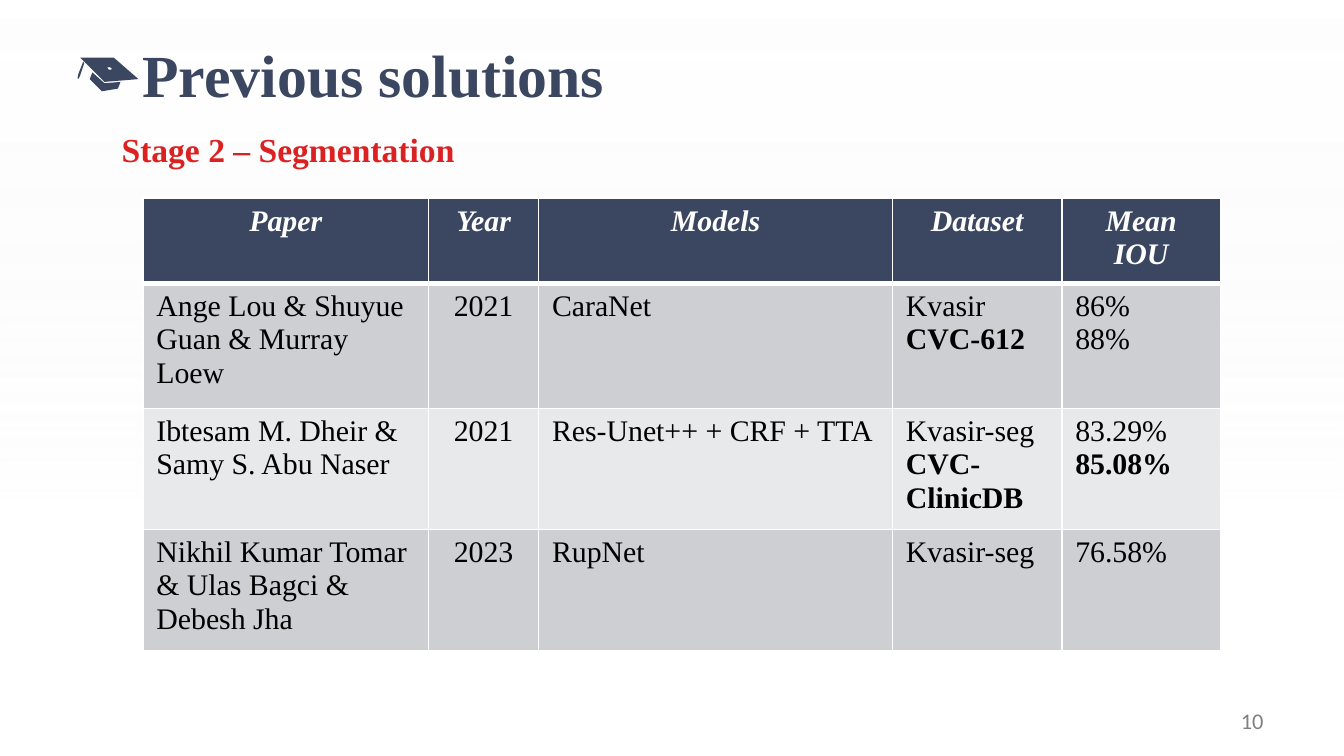
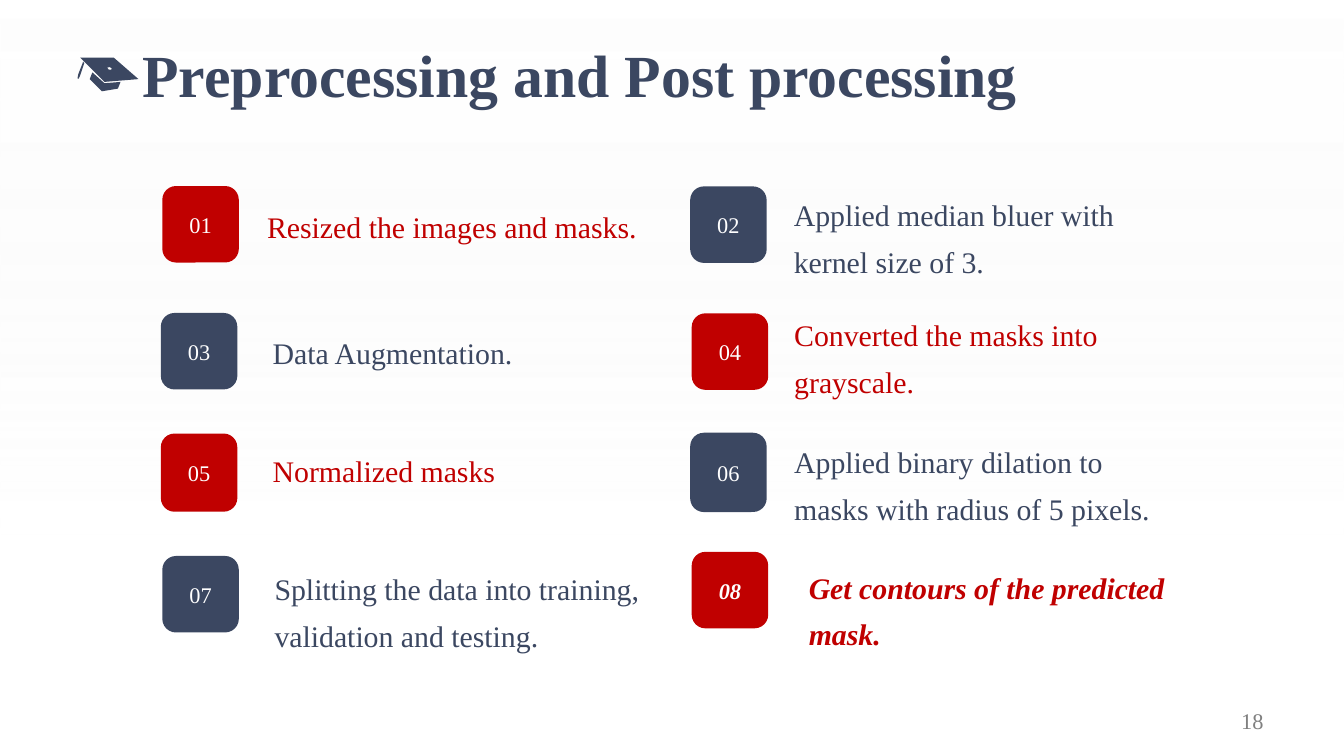
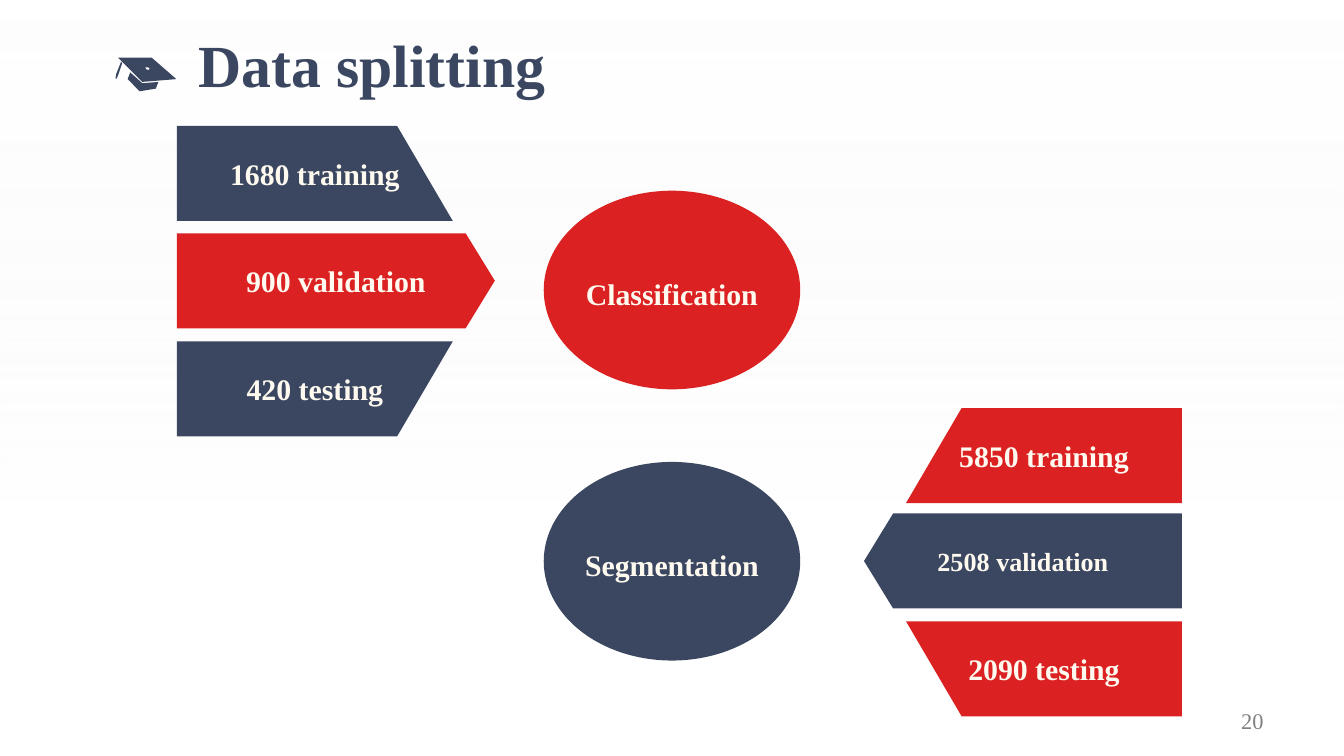
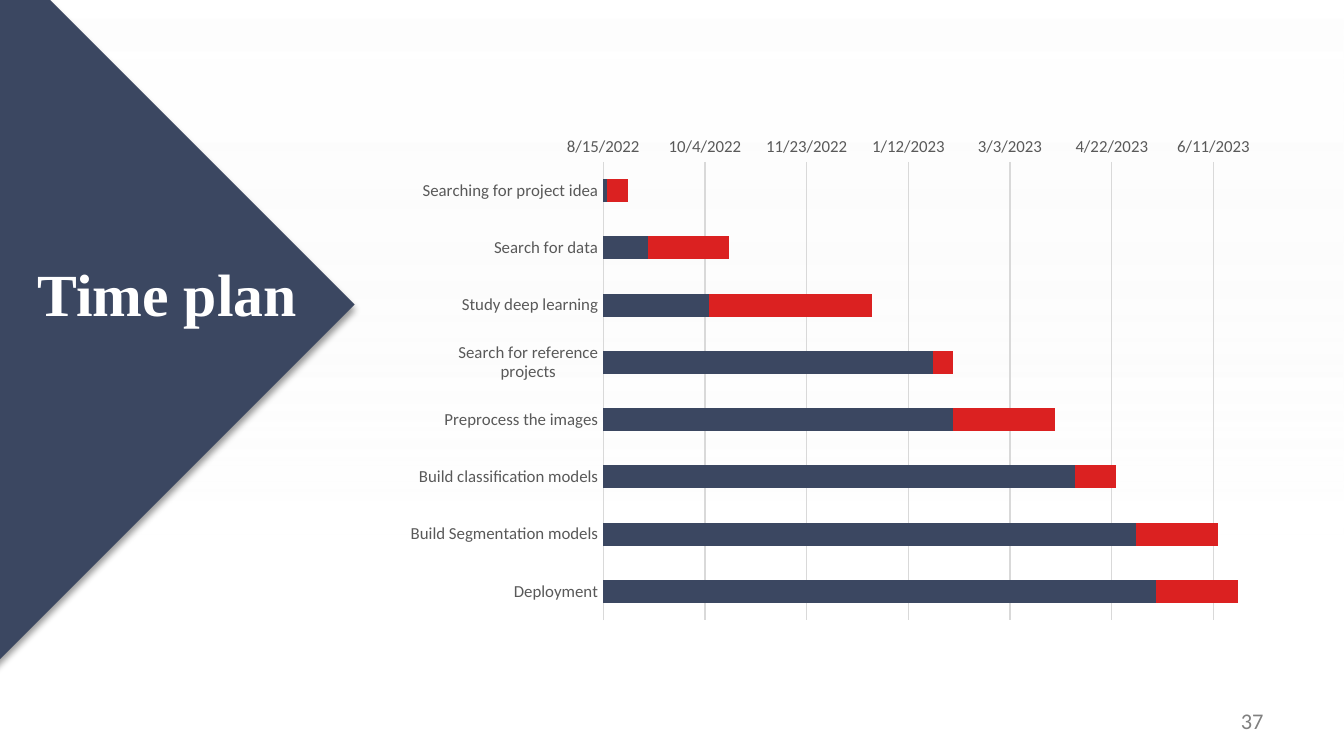
import dataclasses
import typing

import lxml.etree
import pptx
import pptx.chart.data
import pptx.dml.color
import pptx.enum.chart
import pptx.enum.shapes
import pptx.enum.text
import pptx.oxml
import pptx.oxml.ns
import pptx.util

Pt = pptx.util.Pt
ALIGN = pptx.enum.text.PP_ALIGN
ANCHOR = pptx.enum.text.MSO_ANCHOR
SHAPE = pptx.enum.shapes.MSO_SHAPE
Point = tuple[float, float]
Box = tuple[float, float, float, float]


@dataclasses.dataclass(frozen=True)
class Theme:
    navy: str = "3B4761"
    red: str = "DB2121"
    crimson: str = "C00000"
    cream: str = "FFFAF0"
    white: str = "FFFFFF"
    black: str = "000000"
    veil: str = "F2F2F2"
    band_dark: str = "CECFD2"
    band_light: str = "E8E9EA"
    page_gray: str = "808080"
    axis_text: str = "595959"
    grid: str = "D9D9D9"
    serif: str = "Times New Roman"
    sans: str = "Calibri"
    title_size: float = 32
    subtitle_size: float = 18
    body_size: float = 16
    compact_size: float = 14
    small_size: float = 12
    chart_size: float = 10
    axis_size: float = 9


THEME = Theme()
SLIDE_WIDTH, SLIDE_HEIGHT = 720, 405


@dataclasses.dataclass(frozen=True)
class Step:
    text: str
    chip_left: float
    chip_top: float
    text_left: float
    text_top: float
    color: str
    chip_height: float = 39.5
    emphasis: bool = False


@dataclasses.dataclass(frozen=True)
class Split:
    name: str
    color: str
    oval_top: float
    edge: float  # straight outer side of the bars
    direction: int  # 1 points right, -1 points left
    bar_tops: tuple[float, float, float]
    bar_color: str
    middle_color: str
    labels: tuple[str, str, str]
    middle_size: float


@dataclasses.dataclass(frozen=True)
class Task:
    name: str
    start: int  # spreadsheet day number
    days: int


# Shared helpers

def rgb(color: str) -> pptx.dml.color.RGBColor:
    return pptx.dml.color.RGBColor.from_string(color)


def points(box: Box) -> list[int]:
    return [Pt(length) for length in box]


def set_font(font: typing.Any, size: float, color: str, name: str) -> None:
    font.size, font.name = Pt(size), name
    font.color.rgb = rgb(color)


def write_text(frame: typing.Any, text: str, *, size: float = THEME.body_size,
               color: str = THEME.navy, name: str = THEME.serif,
               bold: bool = False, italic: bool = False,
               bold_lines: typing.Container[str] = (),
               align: typing.Any = ALIGN.LEFT, anchor: typing.Any = None,
               spacing: typing.Any = None, inset: float | None = None,
               grow: bool = False) -> None:
    frame.word_wrap = True
    if anchor is not None:
        frame.vertical_anchor = anchor
    if inset is not None:
        frame.margin_left = frame.margin_right = Pt(inset)
        frame.margin_top = frame.margin_bottom = Pt(inset)
    if grow:
        frame.auto_size = pptx.enum.text.MSO_AUTO_SIZE.SHAPE_TO_FIT_TEXT
    for index, line in enumerate(text.split("\n")):
        paragraph = frame.add_paragraph() if index else frame.paragraphs[0]
        paragraph.alignment = align
        if spacing is not None:
            paragraph.line_spacing = spacing
        run = paragraph.add_run()
        run.text = line
        set_font(run.font, size, color, name)
        run.font.bold = bold or line in bold_lines
        run.font.italic = italic


def add_text(slide: typing.Any, box: Box, text: str, **style: typing.Any) -> None:
    write_text(slide.shapes.add_textbox(*points(box)).text_frame, text, **style)


def paint(shape: typing.Any, color: str, line_width: float = 0) -> None:
    shape.shadow.inherit = False
    shape.fill.solid()
    shape.fill.fore_color.rgb = rgb(color)
    if line_width:
        shape.line.color.rgb = rgb(color)
        shape.line.width = Pt(line_width)
    else:
        shape.line.fill.background()


def add_block(slide: typing.Any, kind: typing.Any, box: Box, color: str,
              line_width: float = 0) -> typing.Any:
    shape = slide.shapes.add_shape(kind, *points(box))
    paint(shape, color, line_width)
    return shape


def add_outline(slide: typing.Any, contours: typing.Sequence[typing.Sequence[Point]],
                color: str, origin: Point = (0, 0)) -> typing.Any:
    """Draw closed polygons, given in points, as one freeform."""
    tenths = [[(10 * x, 10 * y) for x, y in contour] for contour in contours]
    builder = slide.shapes.build_freeform(*tenths[0][0], scale=Pt(0.1))
    for index, contour in enumerate(tenths):
        if index:
            builder.move_to(*contour[0])
        builder.add_line_segments(contour[1:], close=True)
    shape = builder.convert_to_shape(Pt(origin[0]), Pt(origin[1]))
    paint(shape, color)
    return shape


def send_to_back(shapes: typing.Any, shape: typing.Any) -> None:
    shapes._element.insert(2, shape._element)


# Parts shared by the slides

HAT = (
    ((7.9, 8.6), (14.4, 14.4), (23, 13.7), (21.6, 17.3), (13, 18.7), (6.5, 12.2)),
    ((2.9, 2.9), (3.6, 3.6), (1.6, 9.6), (0.6, 12), (0, 12), (0, 11.4),
     (0.4, 9.4), (2.7, 3.6)),
    ((17.3, 5.8), (15.9, 6), (16.6, 7.1), (18, 7.2), (18.3, 6.4)),
    ((19.4, 0.7), (32.6, 12.2), (14.4, 13.7), (1.4, 0.7)),
)


def add_slide(presentation: typing.Any, title: str, number: int, *,
              title_at: Point = (76.3, 20.2), title_width: float = 552,
              title_color: str = THEME.navy, hat_left: float | None = 41.6,
              number_font: str = THEME.serif) -> typing.Any:
    slide = presentation.slides.add_slide(presentation.slide_layouts[5])
    heading = slide.shapes.title
    heading.left, heading.top, heading.width, heading.height = points(
        (*title_at, title_width, 39))
    write_text(heading.text_frame, title, size=THEME.title_size, color=title_color,
               bold=True, anchor=ANCHOR.TOP, spacing=1.0, inset=0, grow=True)
    if hat_left is not None:
        add_outline(slide, HAT, THEME.navy, (hat_left, 30.2))
    add_text(slide, (516.2, 375.1, 167.8, 21.6), str(number), size=THEME.small_size,
             color=THEME.page_gray, name=number_font, align=ALIGN.RIGHT,
             anchor=ANCHOR.MIDDLE)
    return slide


def add_master_veil(presentation: typing.Any, slide: typing.Any) -> None:
    """Put the pale gradient on the master, behind every slide."""
    veil = add_block(slide, SHAPE.RECTANGLE, (0, 0, SLIDE_WIDTH, SLIDE_HEIGHT), THEME.white)
    veil.fill.gradient()
    veil.fill.gradient_angle = 270
    stops = zip(veil.fill.gradient_stops,
                ((0, THEME.white, 55), (0.71, THEME.veil, 0)))
    for stop, (position, color, opacity) in stops:
        stop.position = position
        stop.color.rgb = rgb(color)
        for node in stop._gs.iter(pptx.oxml.ns.qn("a:srgbClr")):
            lxml.etree.SubElement(node, pptx.oxml.ns.qn("a:alpha"), val=str(opacity * 1000))
    send_to_back(presentation.slide_master.shapes, veil)


# Previous solutions: table

COLUMN_WIDTHS = (153, 59, 189.6, 90.7, 85)
ROW_HEIGHTS = (45.6, 67, 64.8, 64.8)
PAPERS = (
    ("Paper", "Year", "Models", "Dataset", "Mean IOU"),
    ("Ange Lou & Shuyue Guan & Murray Loew", "2021", "CaraNet",
     "Kvasir\nCVC-612", "86%\n88%"),
    ("Ibtesam M. Dheir & Samy S. Abu Naser", "2021", "Res-Unet++ + CRF + TTA",
     "Kvasir-seg\nCVC-ClinicDB", "83.29%\n85.08%"),
    ("Nikhil Kumar Tomar & Ulas Bagci & Debesh Jha", "2023", "RupNet",
     "Kvasir-seg", "76.58%"),
)
BEST_RESULTS = {"CVC-612", "CVC-ClinicDB", "85.08%"}


def add_borders(cell: typing.Any, bottom: float, top: float) -> None:
    properties = cell._tc.get_or_add_tcPr()
    widths = {"lnL": 1, "lnR": 1, "lnT": top, "lnB": bottom}
    for index, (side, width) in enumerate(widths.items()):
        properties.insert(index, pptx.oxml.parse_xml(
            f'<a:{side} {pptx.oxml.ns.nsdecls("a")} w="{Pt(width)}"><a:solidFill>'
            f'<a:srgbClr val="{THEME.white}"/></a:solidFill></a:{side}>'))


def build_previous_solutions(presentation: typing.Any) -> None:
    slide = add_slide(presentation, "Previous solutions", 10, number_font=THEME.sans)
    add_master_veil(presentation, slide)
    add_text(slide, (-121.7, 69.1, 552.2, 21.6), "Stage 2 – Segmentation",
             size=THEME.subtitle_size, color=THEME.red, bold=True, align=ALIGN.CENTER,
             spacing=1.0, inset=0, grow=True)
    table = slide.shapes.add_table(
        len(PAPERS), len(COLUMN_WIDTHS),
        *points((76.6, 106.2, sum(COLUMN_WIDTHS), sum(ROW_HEIGHTS)))).table
    for column, width in zip(table.columns, COLUMN_WIDTHS):
        column.width = Pt(width)
    for row_index, (row, height) in enumerate(zip(PAPERS, ROW_HEIGHTS)):
        table.rows[row_index].height = Pt(height)
        header = row_index == 0
        band = THEME.band_dark if row_index % 2 else THEME.band_light
        for column_index, text in enumerate(row):
            cell = table.cell(row_index, column_index)
            cell.fill.solid()
            cell.fill.fore_color.rgb = rgb(THEME.navy if header else band)
            add_borders(cell, bottom=3 if header else 1, top=3 if row_index == 1 else 1)
            centered = header or column_index == 1
            write_text(cell.text_frame, text,
                       color=THEME.white if header else THEME.black,
                       bold=header, italic=header, bold_lines=BEST_RESULTS,
                       align=ALIGN.CENTER if centered else ALIGN.LEFT)


# Preprocessing and post processing: numbered steps

STEPS = (
    Step("Resized the images and masks.", 87.7, 100.4, 136, 102.2, THEME.crimson),
    Step("Applied median bluer with kernel size of 3.", 370.5, 100.6, 418.2, 96.3,
         THEME.navy),
    Step("Data Augmentation.", 86.9, 168.4, 139, 169.9, THEME.navy),
    Step("Converted the masks into grayscale.", 371.3, 168.6, 418.4, 160.4, THEME.crimson),
    Step("Normalized masks", 86.9, 233, 139, 233.3, THEME.crimson, chip_height=40.4),
    Step("Applied binary dilation to masks with radius of 5 pixels.", 370.5, 232.6,
         418.4, 228.4, THEME.navy, chip_height=41),
    Step("Splitting the data into training, validation and testing.", 87.7, 298.6,
         140, 296.6, THEME.navy),
    Step("Get contours of the predicted mask.", 371.3, 296.4, 426.2, 295.7,
         THEME.crimson, emphasis=True),
)


def build_processing(presentation: typing.Any) -> None:
    slide = add_slide(presentation, "Preprocessing and Post processing", 18)
    for number, step in enumerate(STEPS, start=1):
        style = {"bold": step.emphasis, "italic": step.emphasis}
        chip = add_block(slide, SHAPE.ROUNDED_RECTANGLE,
                         (step.chip_left, step.chip_top, 39.5, step.chip_height),
                         step.color, line_width=1.5)
        write_text(chip.text_frame, f"{number:02d}", size=THEME.small_size,
                   color=THEME.white, align=ALIGN.CENTER, anchor=ANCHOR.MIDDLE, **style)
        height = 30.2 if len(step.text) < 30 else 55.4
        add_text(slide, (step.text_left, step.text_top, 218, height), step.text,
                 color=step.color, spacing=Pt(25), grow=True, **style)


# Data splitting: two ovals with three bars each

SPLITS = (
    Split("Classification", THEME.red, 102.2, 94.8, 1, (67.5, 125, 182.9),
          THEME.navy, THEME.red,
          ("1680 training", "900 validation", "420 testing"), THEME.body_size),
    Split("Segmentation", THEME.navy, 247.5, 633.2, -1, (218.6, 275.1, 332.9),
          THEME.red, THEME.navy,
          ("5850 training", "2508 validation", "2090 testing"), THEME.compact_size),
)
BAR_HEIGHT = 50.9
BAR_PROFILES = (  # distance from the edge, share of the bar height
    ((0, 0), (118, 0), (147.8, 1), (0, 1)),
    ((0, 0), (154.7, 0), (170.3, 0.5), (154.7, 1), (0, 1)),
    ((0, 0), (147.8, 0), (118, 1), (0, 1)),
)


def build_data_splitting(presentation: typing.Any) -> None:
    slide = add_slide(presentation, "Data splitting", 20, title_at=(106.3, 15.1),
                      hat_left=61.9)
    label = {"color": THEME.cream, "bold": True, "align": ALIGN.CENTER,
             "anchor": ANCHOR.MIDDLE, "inset": 0}
    for split in SPLITS:
        oval = add_block(slide, SHAPE.OVAL, (291.3, split.oval_top, 137.4, 106.4), split.color)
        write_text(oval.text_frame, split.name, spacing=1.2, **label)
        bars = zip(BAR_PROFILES, split.bar_tops, split.labels)
        for index, (profile, top, text) in enumerate(bars):
            middle = index == 1
            contour = [(split.edge + split.direction * reach, top + share * BAR_HEIGHT)
                       for reach, share in profile]
            bar = add_outline(slide, [contour],
                              split.middle_color if middle else split.bar_color)
            write_text(bar.text_frame, text,
                       size=split.middle_size if middle else THEME.body_size, **label)


# Time plan: stacked bars as a schedule

FIRST_DAY, LAST_DAY = 44788, 45103
TASKS = (
    Task("Searching for project idea", 44790, 10),
    Task("Search for data", 44810, 40),
    Task("Study deep learning", 44840, 80),
    Task("Search for reference projects", 44950, 10),
    Task("Preprocess the images", 44960, 50),
    Task("Build classification models", 45020, 20),
    Task("Build Segmentation models", 45050, 40),
    Task("Deployment", 45060, 40),
)


def add_shadow(shape: typing.Any) -> None:
    effects = shape._element.spPr.find(pptx.oxml.ns.qn("a:effectLst"))
    effects.append(pptx.oxml.parse_xml(
        f'<a:outerShdw {pptx.oxml.ns.nsdecls("a")} blurRad="{Pt(4)}" dist="{Pt(3)}" '
        f'dir="5400000" rotWithShape="0"><a:srgbClr val="{THEME.black}">'
        '<a:alpha val="40000"/></a:srgbClr></a:outerShdw>'))


def place_plot(chart: typing.Any, x: float, y: float, width: float, height: float) -> None:
    plot_area = chart._chartSpace.chart.plotArea
    for layout in plot_area.findall(pptx.oxml.ns.qn("c:layout")):
        plot_area.remove(layout)
    settings = {"layoutTarget": "inner", "xMode": "edge", "yMode": "edge",
                "x": x, "y": y, "w": width, "h": height}
    body = "".join(f'<c:{key} val="{value}"/>' for key, value in settings.items())
    plot_area.insert(0, pptx.oxml.parse_xml(
        f'<c:layout {pptx.oxml.ns.nsdecls("c")}><c:manualLayout>{body}'
        '</c:manualLayout></c:layout>'))


def add_schedule(slide: typing.Any) -> None:
    data = pptx.chart.data.CategoryChartData()
    data.categories = [task.name for task in TASKS]
    data.add_series("Series 1", [task.start for task in TASKS])
    data.add_series("Series 2", [task.days for task in TASKS])
    chart = slide.shapes.add_chart(pptx.enum.chart.XL_CHART_TYPE.BAR_STACKED,
                                   *points((220, 60, 468, 285.1)), data).chart
    chart.has_legend = chart.has_title = False
    set_font(chart.font, THEME.chart_size, THEME.black, THEME.sans)
    plot = chart.plots[0]
    plot.gap_width, plot.overlap, plot.vary_by_categories = 150, 100, False
    for series, color in zip(plot.series, (THEME.navy, THEME.red)):
        series.format.fill.solid()
        series.format.fill.fore_color.rgb = rgb(color)
    tasks, days = chart.category_axis, chart.value_axis
    for axis in (tasks, days):
        axis.major_tick_mark = axis.minor_tick_mark = pptx.enum.chart.XL_TICK_MARK.NONE
        set_font(axis.tick_labels.font, THEME.axis_size, THEME.axis_text, THEME.sans)
    tasks.reverse_order = True
    days.minimum_scale, days.maximum_scale, days.major_unit = FIRST_DAY, LAST_DAY, 50
    days.tick_labels.number_format = "m/d/yyyy"
    days.tick_labels.number_format_is_linked = False
    days.format.line.fill.background()
    for line in (tasks.format.line, days.major_gridlines.format.line):
        line.color.rgb = rgb(THEME.grid)
        line.width = Pt(0.75)
    place_plot(chart, 0.22, 0.094, 0.734, 0.861)


def build_time_plan(presentation: typing.Any) -> None:
    slide = add_slide(presentation, "Time plan", 37, title_at=(20, 137.5),
                      title_width=353.5, title_color=THEME.white, hat_left=None,
                      number_font=THEME.sans)
    wedge = add_block(slide, SHAPE.RECTANGLE, (-212.4, -3.6, 322.6, 359.3), THEME.navy)
    wedge.rotation = 45
    add_shadow(wedge)
    send_to_back(slide.shapes, wedge)
    add_schedule(slide)


def main() -> None:
    presentation = pptx.Presentation()
    presentation.slide_width, presentation.slide_height = Pt(SLIDE_WIDTH), Pt(SLIDE_HEIGHT)
    build_previous_solutions(presentation)
    build_processing(presentation)
    build_data_splitting(presentation)
    build_time_plan(presentation)
    presentation.save("out.pptx")


if __name__ == "__main__":
    main()
